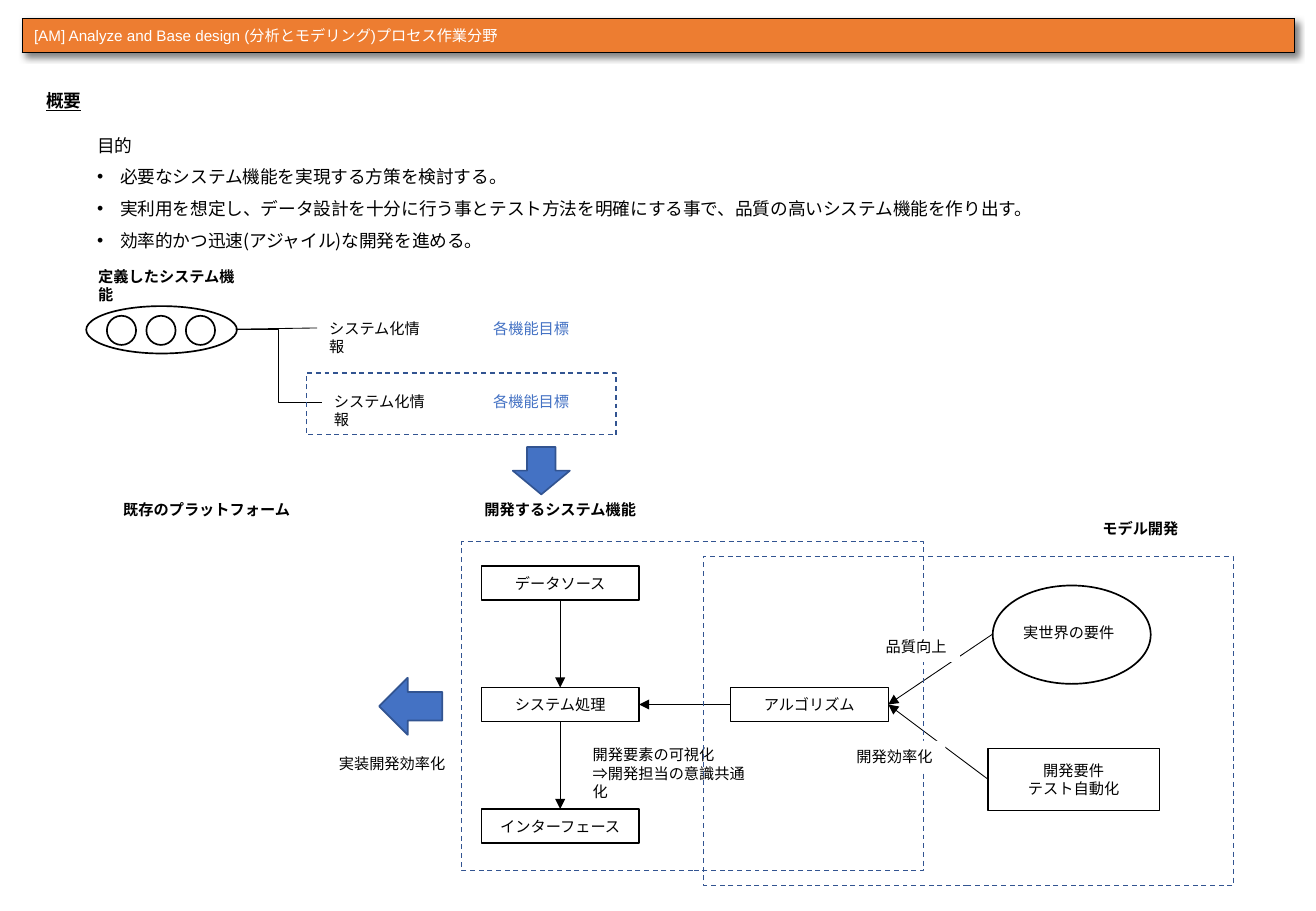
from lxml.etree import SubElement
from pptx import Presentation
from pptx.dml.color import RGBColor
from pptx.enum.dml import MSO_LINE
from pptx.enum.shapes import MSO_CONNECTOR as CONNECTOR, MSO_SHAPE as SHAPE
from pptx.enum.text import MSO_ANCHOR as ANCHOR, MSO_AUTO_SIZE as AUTO_SIZE, PP_ALIGN as ALIGN
from pptx.oxml import parse_xml
from pptx.oxml.ns import nsdecls, qn
from pptx.util import Inches, Pt

JAPANESE_FONT = "Noto Sans CJK JP"
BLACK, WHITE, ORANGE = "000000", "FFFFFF", "ED7D31"
BLUE, DARK_BLUE = "4472C4", "325491"


def color(value):
    return RGBColor.from_string(value)


def box(left, top, width, height):
    return [Inches(length) for length in (left, top, width, height)]


def write(frame, text, size=9, font=JAPANESE_FONT, text_color=BLACK, bold=False,
          underline=False, align=ALIGN.LEFT, spacing=None, anchor=ANCHOR.TOP, bullets_from=None):
    """Write one paragraph per line of text; bullets start at the given paragraph."""
    frame.word_wrap = True
    frame.vertical_anchor = anchor
    for index, line in enumerate(text.split("\n")):
        paragraph = frame.paragraphs[0] if index == 0 else frame.add_paragraph()
        paragraph.alignment = align
        if spacing:
            paragraph.line_spacing = spacing
        if bullets_from is not None and index >= bullets_from:
            add_bullet(paragraph)
        run = paragraph.add_run()
        run.text = line
        run.font.size = Pt(size)
        run.font.name = font
        run.font.bold = bold
        run.font.underline = underline
        run.font.color.rgb = color(text_color)
        SubElement(run.font._element, qn("a:ea"), typeface=JAPANESE_FONT)


def add_bullet(paragraph):
    properties = paragraph._p.get_or_add_pPr()
    properties.set("marL", str(Inches(0.19)))
    properties.set("indent", str(-Inches(0.19)))
    SubElement(properties, qn("a:buFont"), typeface="Arial")
    SubElement(properties, qn("a:buChar"), char="•")


def add_label(slide, text, left, top, width, height=0.25, fill=None, **text_format):
    label = slide.shapes.add_textbox(*box(left, top, width, height))
    if fill:
        label.fill.solid()
        label.fill.fore_color.rgb = color(fill)
    write(label.text_frame, text, **text_format)
    label.text_frame.auto_size = AUTO_SIZE.SHAPE_TO_FIT_TEXT


def add_figure(slide, kind, left, top, width, height, fill=WHITE, line=BLACK, weight=1.0):
    figure = slide.shapes.add_shape(kind, *box(left, top, width, height))
    figure.shadow.inherit = False
    if fill:
        figure.fill.solid()
        figure.fill.fore_color.rgb = color(fill)
    else:
        figure.fill.background()
    figure.line.color.rgb = color(line)
    figure.line.width = Pt(weight)
    return figure


def add_process(slide, text, left, top, width=1.3, height=0.28):
    process = add_figure(slide, SHAPE.FLOWCHART_PROCESS, left, top, width, height, weight=0.75)
    write(process.text_frame, text, align=ALIGN.CENTER, anchor=ANCHOR.MIDDLE)
    return process


def add_region(slide, left, top, width, height):
    region = add_figure(slide, SHAPE.RECTANGLE, left, top, width, height, None, DARK_BLUE, 0.75)
    region.line.dash_style = MSO_LINE.DASH


def add_line(slide, start=(0, 0), end=(0, 0), kind=CONNECTOR.STRAIGHT,
             begin_at=None, end_at=None, arrow=False):
    """Draw a line; begin_at and end_at are (shape, side) pairs to join."""
    points = [Inches(length) for length in (*start, *end)]
    connector = slide.shapes.add_connector(kind, *points)
    if begin_at:
        connector.begin_connect(*begin_at)
    if end_at:
        connector.end_connect(*end_at)
    connector.line.color.rgb = color(BLACK)
    connector.line.width = Pt(0.5)
    if arrow:
        SubElement(connector.line._get_or_add_ln(), qn("a:tailEnd"), type="triangle")
    SubElement(connector._element.spPr, qn("a:effectLst"))


def add_header(slide, text):
    table = slide.shapes.add_table(1, 1, *box(0.18, 0.15, 10.47, 0.28)).table
    table.first_row = table.horz_banding = False
    table._tbl.tblPr.insert(0, parse_xml(
        f'<a:effectLst {nsdecls("a")}><a:outerShdw blurRad="50800" dist="38100" dir="2700000">'
        '<a:srgbClr val="000000"><a:alpha val="50000"/></a:srgbClr></a:outerShdw></a:effectLst>'))
    cell = table.cell(0, 0)
    write(cell.text_frame, text, font="Arial", text_color=WHITE)
    cell_properties = cell._tc.get_or_add_tcPr()
    for side in ("lnL", "lnR", "lnT", "lnB"):
        border = SubElement(cell_properties, qn(f"a:{side}"), w=str(Pt(0.25)))
        SubElement(SubElement(border, qn("a:solidFill")), qn("a:srgbClr"), val=BLACK)
    cell.fill.solid()
    cell.fill.fore_color.rgb = color(ORANGE)


def add_title(slide, text):
    title = slide.shapes.title
    title.left, title.top, title.width, title.height = box(0.28, 0.69, 0.5, 0.28)
    write(title.text_frame, text, size=10.5, bold=True, underline=True)
    title.text_frame.auto_size = AUTO_SIZE.NONE


def add_defined_functions(slide):
    add_figure(slide, SHAPE.OVAL, 0.71, 2.52, 1.24, 0.39)
    for index in range(3):
        add_figure(slide, SHAPE.OVAL, 0.88 + index * 0.325, 2.6, 0.24, 0.24)
    add_label(slide, "定義したシステム機能", 0.71, 2.15, 1.32, bold=True)
    for left, top in ((2.61, 2.58), (2.65, 3.18)):
        add_label(slide, "システム化情報", left, top, 0.98)
        add_label(slide, "各機能目標", 3.96, top, 0.83, text_color=BLUE)
    add_line(slide, (1.94, 2.71), (2.61, 2.7))
    add_line(slide, (1.94, 2.71), (2.65, 3.31), CONNECTOR.ELBOW)
    add_region(slide, 2.52, 3.07, 2.55, 0.51)


def add_development(slide):
    # Requirement, processes and their flow
    add_figure(slide, SHAPE.OVAL, 8.17, 4.82, 1.3, 0.81)
    add_label(slide, "実世界の要件", 8.17, 5.08, 1.25, align=ALIGN.CENTER)
    names = ("データソース", "システム処理", "インターフェース")
    source, system, interface = [add_process(slide, name, 3.96, 4.66 + row)
                                 for row, name in enumerate(names)]
    algorithm = add_process(slide, "アルゴリズム", 6.01, 5.66)
    automation = add_process(slide, "開発要件\nテスト自動化", 8.13, 6.16, 1.41, 0.51)
    for begin_at, end_at in (((source, 2), (system, 0)), ((system, 2), (interface, 0)),
                             ((algorithm, 1), (system, 3)), ((automation, 1), (algorithm, 3))):
        add_line(slide, begin_at=begin_at, end_at=end_at, arrow=True)
    add_line(slide, (8.17, 5.22), end_at=(algorithm, 3), arrow=True)

    # Regions, with the effect labels between them
    add_region(slide, 3.8, 4.46, 3.8, 2.71)
    for text, left, top, width, height in (
            ("品質向上", 7.19, 5.2, 0.71, 0.25),
            ("開発要素の可視化\n⇒開発担当の意識共通化", 4.78, 6.09, 1.57, 0.4),
            ("実装開発効率化", 2.69, 6.16, 1.09, 0.25),
            ("開発効率化", 6.95, 6.1, 0.83, 0.25)):
        add_label(slide, text, left, top, width, height, fill=WHITE)
    add_region(slide, 5.79, 4.58, 4.36, 2.71)

    # Headings
    for text, left, top, width in (("既存のプラットフォーム", 0.47, 4.07, 2.46),
                                   ("開発するシステム機能", 3.38, 4.07, 2.46),
                                   ("モデル開発", 8.62, 4.23, 1.53)):
        add_label(slide, text, left, top, width, bold=True, align=ALIGN.CENTER)


def main():
    presentation = Presentation()
    presentation.slide_width, presentation.slide_height = Inches(10.83), Inches(7.5)
    slide = presentation.slides.add_slide(presentation.slide_layouts[5])

    # Header, title and purpose
    add_header(slide, "[AM] Analyze and Base design (分析とモデリング)プロセス作業分野")
    add_title(slide, "概要")
    purpose = ("目的",
               "必要なシステム機能を実現する方策を検討する。",
               "実利用を想定し、データ設計を十分に行う事とテスト方法を明確にする事で、"
               "品質の高いシステム機能を作り出す。",
               "効率的かつ迅速(アジャイル)な開発を進める。")
    add_label(slide, "\n".join(purpose), 0.7, 0.97, 9.45, 1.12,
              size=10.5, spacing=1.5, bullets_from=1)

    # Diagram
    add_defined_functions(slide)
    add_development(slide)
    add_figure(slide, SHAPE.DOWN_ARROW, 4.22, 3.68, 0.47, 0.39, BLUE, DARK_BLUE)
    add_figure(slide, SHAPE.LEFT_ARROW, 3.12, 5.58, 0.52, 0.47, BLUE, DARK_BLUE)
    presentation.save("out.pptx")


if __name__ == "__main__":
    main()
